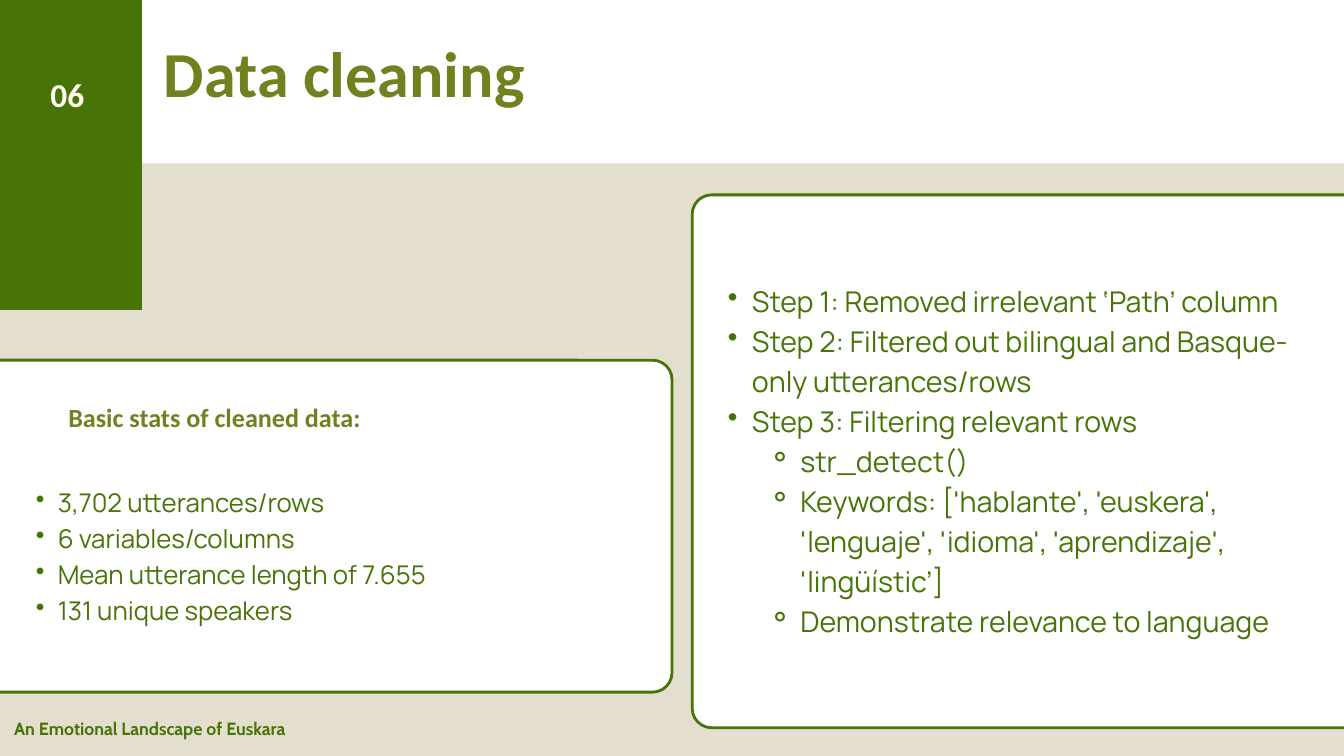
"""Build the data cleaning slide with its two rounded cards."""
from dataclasses import dataclass

from lxml.etree import SubElement
from pptx import Presentation
from pptx.dml.color import RGBColor
from pptx.enum.shapes import MSO_SHAPE
from pptx.enum.text import MSO_AUTO_SIZE, PP_ALIGN
from pptx.oxml.ns import qn
from pptx.util import Inches, Pt


@dataclass(frozen=True)
class Theme:
    green: str = "487307"
    olive: str = "70821F"
    sand: str = "9D884E"
    cream: str = "FFFCF3"
    white: str = "FFFFFF"
    head: str = "Calibri"
    body: str = "Manrope"
    foot: str = "Cabin"
    title: float = 68.7
    num: float = 35.8
    steps: float = 30.6
    label: float = 28
    stats: float = 27.6
    note: float = 19
    edge: float = 3
    curve: float = 0.29


THEME = Theme()

STEPS = [
    (1, "Step 1: Removed irrelevant ‘Path’ column"),
    (1, "Step 2: Filtered out bilingual and Basque-only utterances/rows"),
    (1, "Step 3: Filtering relevant rows"),
    (2, "str_detect()"),
    (2, "Keywords: ['hablante', 'euskera', 'lenguaje', 'idioma', "
        "'aprendizaje', 'lingüístic’]"),
    (2, "Demonstrate relevance to language"),
]
STATS = [
    (1, "3,702 utterances/rows"),
    (1, "6 variables/columns"),
    (1, "Mean utterance length of 7.655"),
    (1, "131 unique speakers"),
]


def add_block(slide, box, color, alpha=None, kind=MSO_SHAPE.RECTANGLE):
    shape = slide.shapes.add_shape(kind, *map(Inches, box))
    shape.shadow.inherit = False
    shape.fill.solid()
    shape.fill.fore_color.rgb = RGBColor.from_string(color)
    shape.line.fill.background()
    if alpha is not None:
        tint = shape.fill._xPr.find(".//" + qn("a:srgbClr"))
        SubElement(tint, qn("a:alpha"), val=str(alpha * 1000))
    return shape


def add_card(slide, box):
    card = add_block(slide, box, THEME.white, kind=MSO_SHAPE.ROUNDED_RECTANGLE)
    card.adjustments[0] = THEME.curve / min(box[2:])
    card.line.color.rgb = RGBColor.from_string(THEME.green)
    card.line.width = Pt(THEME.edge)


def add_frame(slide, box):
    frame = slide.shapes.add_textbox(*map(Inches, box)).text_frame
    frame.margin_left = frame.margin_right = 0
    frame.margin_top = frame.margin_bottom = 0
    frame.word_wrap = True
    frame.auto_size = MSO_AUTO_SIZE.SHAPE_TO_FIT_TEXT
    return frame


def add_words(para, text, face, size, color, bold=False):
    run = para.add_run()
    run.text = text
    run.font.name = face
    run.font.size = Pt(size)
    run.font.bold = bold
    run.font.color.rgb = RGBColor.from_string(color)


def add_line(slide, box, text, face, size, color, pitch, align=PP_ALIGN.LEFT):
    para = add_frame(slide, box).paragraphs[0]
    para.line_spacing = Pt(pitch)
    para.alignment = align
    add_words(para, text, face, size, color, bold=True)


def add_bullet(para, level, indent):
    para.level = level
    props = para._p.get_or_add_pPr()
    hang = indent / 2 if level == 1 else indent * 2 / 3
    props.set("marL", str(Inches(indent * level)))
    props.set("indent", str(-Inches(hang)))
    SubElement(props, qn("a:buChar"), char="•" if level == 1 else "⚬")


def add_list(slide, box, items, size, pitch, indent):
    frame = add_frame(slide, box)
    for index, (level, text) in enumerate(items):
        para = frame.add_paragraph() if index else frame.paragraphs[0]
        add_bullet(para, level, indent)
        para.line_spacing = Pt(pitch)
        add_words(para, text, THEME.body, size, THEME.green)


def main():
    deck = Presentation()
    deck.slide_width, deck.slide_height = Inches(20), Inches(11.25)
    slide = deck.slides.add_slide(deck.slide_layouts[6])

    add_block(slide, (-0.48, 2.43, 20.74, 14.6), THEME.sand, alpha=27)
    add_block(slide, (-0.66, -0.77, 2.77, 5.38), THEME.green)
    add_card(slide, (-2.29, 5.36, 12.29, 4.94))
    add_line(slide, (0.21, 10.63, 5.01, 0.35), "An Emotional Landscape of Euskara",
             THEME.foot, THEME.note, THEME.green, 26.6)
    add_line(slide, (0.75, 1, 0.84, 0.66), "06",
             THEME.head, THEME.num, THEME.cream, 50.1)
    add_line(slide, (2.44, 0.75, 12.44, 0.94), "Data cleaning",
             THEME.head, THEME.title, THEME.olive, 63.9)
    add_card(slide, (10.3, 2.9, 12.29, 7.93))
    add_list(slide, (10.47, 4.14, 9.34, 5.35), STEPS, THEME.steps, 42.8, 0.72)
    add_list(slide, (0.21, 7.17, 9.34, 2.14), STATS, THEME.stats, 38.6, 0.65)
    add_line(slide, (-1.48, 5.89, 9.34, 0.53), "Basic stats of cleaned data:",
             THEME.head, THEME.label, THEME.olive, 39.2, PP_ALIGN.CENTER)
    deck.save("out.pptx")


if __name__ == "__main__":
    main()
